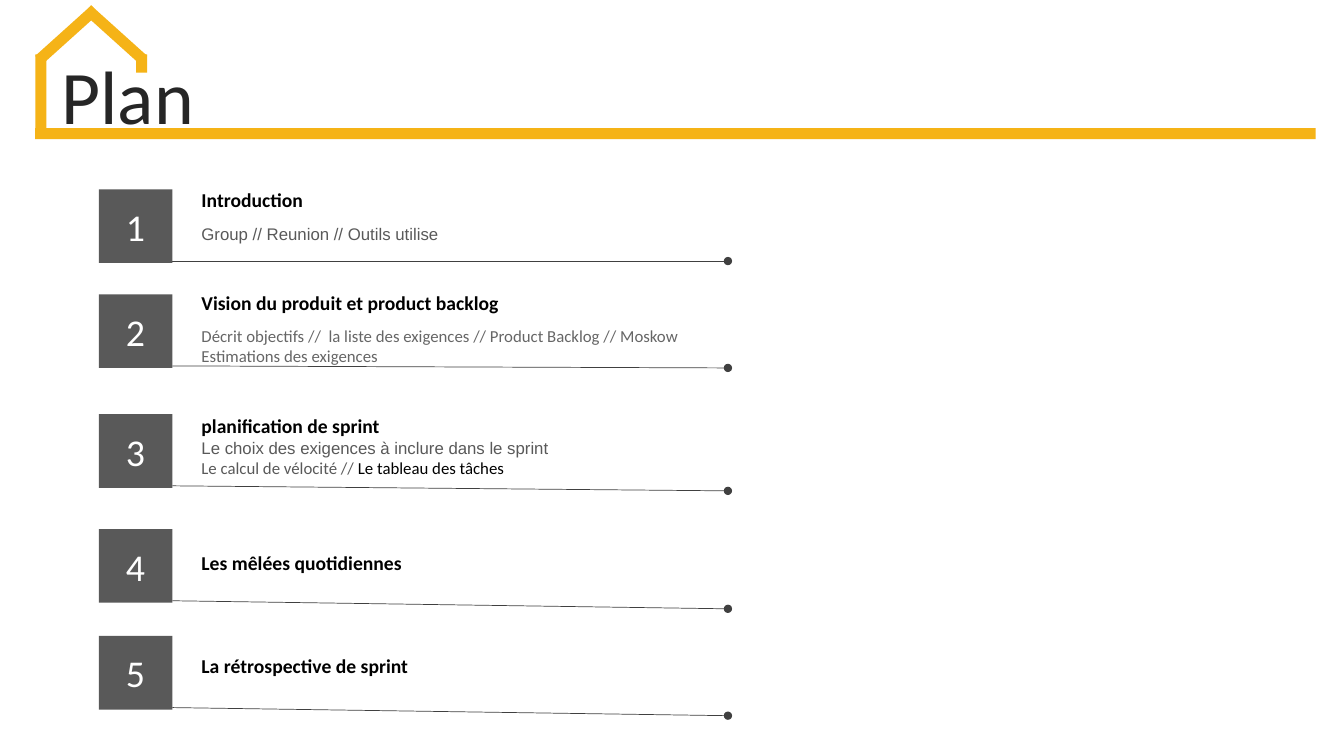
from lxml import etree
from pptx import Presentation
from pptx.dml.color import RGBColor
from pptx.enum.shapes import MSO_CONNECTOR, MSO_SHAPE
from pptx.enum.text import MSO_ANCHOR, MSO_AUTO_SIZE, PP_ALIGN
from pptx.oxml.ns import qn
from pptx.util import Inches, Pt

YELLOW = RGBColor(0xF5, 0xB3, 0x17)
INK = RGBColor(0x26, 0x26, 0x26)
GRAY = RGBColor(0x59, 0x59, 0x59)
LIGHT_GRAY = RGBColor(0x66, 0x66, 0x66)
LINE_GRAY = RGBColor(0x40, 0x40, 0x40)
BLACK = RGBColor(0, 0, 0)
WHITE = RGBColor(0xFF, 0xFF, 0xFF)

BADGE = 0.73
LEFT = 0.98
TEXT_DX = 0.92
LINE_END = 7.22

# top of badge, heading, heading offset, detail offset, drop of the line, detail width,
# detail lines as lists of (text, font, colour)
SECTIONS = [
    (1.88, "Introduction", -0.06, 0.29, 0, 4.7,
     [[("Group // Reunion // Outils utilise", "Arial", GRAY)]]),
    (2.92, "Vision du produit et product backlog", -0.08, 0.26, 0.02, 5.91,
     [[("Décrit objectifs //  la liste des exigences // Product Backlog // Moskow",
        "Calibri", LIGHT_GRAY)],
      [("Estimations des exigences", "Calibri", LIGHT_GRAY)]]),
    (4.11, "planification de sprint", -0.05, 0.18, 0.05, 4.7,
     [[("Le choix des exigences à inclure dans le sprint", "Arial", GRAY)],
      [("Le calcul de vélocité // ", "Calibri", GRAY),
       ("Le tableau des tâches", "Calibri", BLACK)]]),
    (5.25, "Les mêlées quotidiennes", 0.17, 0, 0.08, 4.7, []),
    (6.31, "La rétrospective de sprint", 0.13, 0, 0.08, 4.7, []),
]


def set_font(font, name, size, color, bold=False):
    font.name, font.size, font.bold = name, Pt(size), bold
    font.color.rgb = color


def add_box(slide, x, y, w, h, color, rotation=0):
    sp = slide.shapes.add_shape(MSO_SHAPE.RECTANGLE, Inches(x), Inches(y), Inches(w), Inches(h))
    sp.shadow.inherit = False
    sp.fill.solid()
    sp.fill.fore_color.rgb = color
    sp.line.fill.background()
    sp.rotation = rotation
    return sp


def add_text(slide, x, y, w, h):
    tf = slide.shapes.add_textbox(Inches(x), Inches(y), Inches(w), Inches(h)).text_frame
    tf.word_wrap = True
    return tf


def add_header(slide, x, y, w):
    """House outline whose floor runs across the slide, with the title inside."""
    bar = 0.11
    for dx, dy, width, height, rotation in [
        (0, 1.3, w, bar, 0),
        (0, 0.57, bar, 0.8, 0),
        (1, 0.57, bar, 0.18, 0),
        (0.26, 0, bar, 0.75, 48),
        (0.74, 0, bar, 0.75, 312),
    ]:
        add_box(slide, x + dx, y + dy, width, height, YELLOW, rotation)

    title = slide.shapes.title
    title.left, title.top = Inches(x + 0.16), Inches(y + 0.63)
    title.width, title.height = Inches(12.31), Inches(0.79)
    tf = title.text_frame
    tf.text = "Plan"
    tf.auto_size = MSO_AUTO_SIZE.NONE
    tf.vertical_anchor = MSO_ANCHOR.MIDDLE
    p = tf.paragraphs[0]
    p.alignment = PP_ALIGN.LEFT
    p.line_spacing = 0.9
    p.space_before = Pt(10)
    set_font(p.font, "Calibri", 54, INK)


def add_dotted_end_line(slide, x1, y1, x2, y2):
    line = slide.shapes.add_connector(
        MSO_CONNECTOR.STRAIGHT, Inches(x1), Inches(y1), Inches(x2), Inches(y2))
    line.line.color.rgb = LINE_GRAY
    line.line.width = Pt(0.5)
    etree.SubElement(line.line._get_or_add_ln(), qn("a:tailEnd"), type="oval")
    etree.SubElement(line._element.spPr, qn("a:effectLst"))


def add_section(slide, number, x, y, heading, heading_dy, detail_dy, drop, detail_w, details):
    if details:
        tf = add_text(slide, x + TEXT_DX, y + detail_dy, detail_w, 0.1 + 0.2 * len(details))
        for i, runs in enumerate(details):
            p = tf.add_paragraph() if i else tf.paragraphs[0]
            for text, name, color in runs:
                r = p.add_run()
                r.text = text
                set_font(r.font, name, 12, color)

    p = add_text(slide, x + TEXT_DX, y + heading_dy, 4.7, 0.34).paragraphs[0]
    p.text = heading
    set_font(p.font, "Calibri", 14, BLACK, bold=True)

    line_y = y + 0.71
    add_dotted_end_line(slide, x + BADGE, line_y, LINE_END, line_y + drop)

    tf = add_box(slide, x, y, BADGE, BADGE, GRAY).text_frame
    tf.vertical_anchor = MSO_ANCHOR.MIDDLE
    p = tf.paragraphs[0]
    p.text = str(number)
    p.alignment = PP_ALIGN.CENTER
    set_font(p.font, "Calibri", 27, WHITE)


def main():
    prs = Presentation()
    prs.slide_width, prs.slide_height = Inches(13.33), Inches(7.5)
    slide = prs.slides.add_slide(prs.slide_layouts[5])
    add_header(slide, 0.35, -0.03, 12.7)
    for number, (top, *content) in enumerate(SECTIONS, 1):
        add_section(slide, number, LEFT, top, *content)
    prs.save("out.pptx")


if __name__ == "__main__":
    main()
